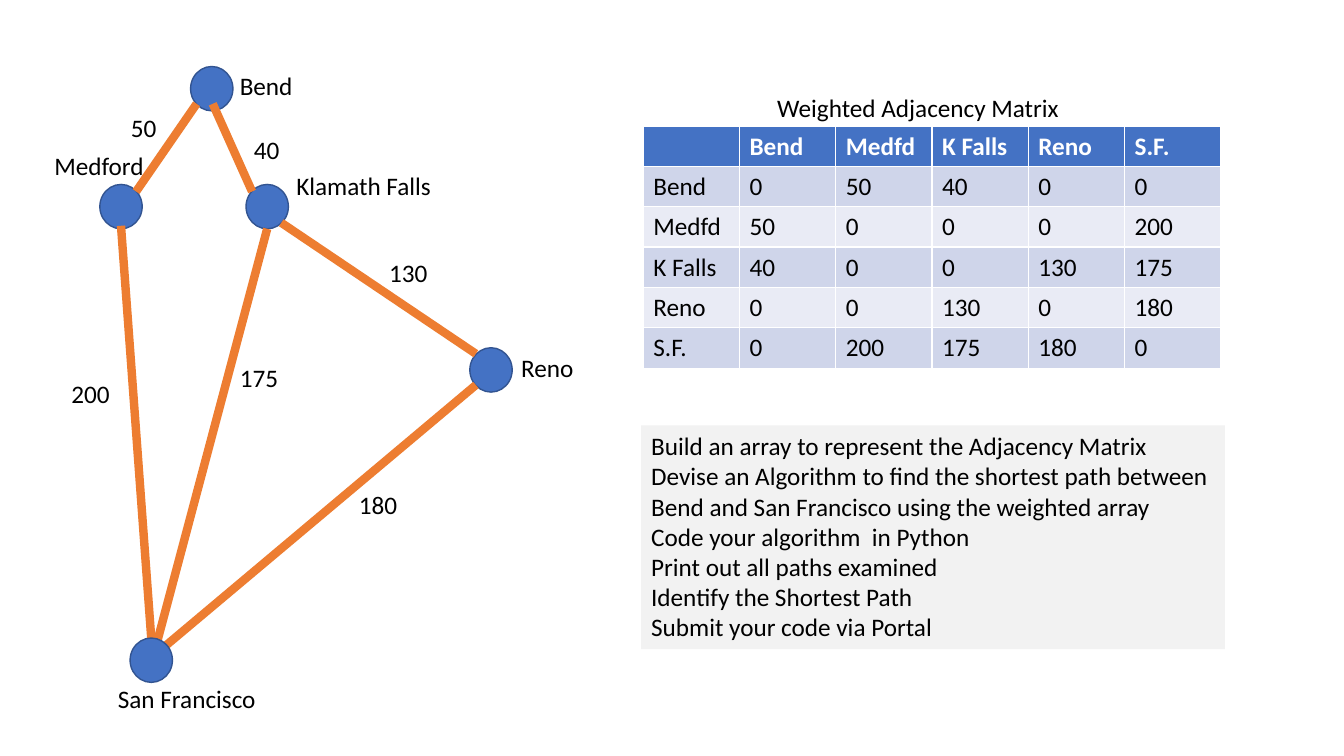
import pptx
import pptx.util
import pptx.dml.color
import pptx.enum.shapes
import pptx.enum.text
import pptx.oxml.ns
import lxml.etree

Inches = pptx.util.Inches
Pt = pptx.util.Pt


def color(code):
    return pptx.dml.color.RGBColor.from_string(code)


THEME = {
    "node": color("4472C4"),
    "node line": color("325491"),
    "road": color("ED7D31"),
    "panel": color("F2F2F2"),
    "header": color("4472C4"),
    "bands": [color("CFD5EA"), color("E9EBF5")],
    "text": {"name": "Calibri", "size": Pt(18), "bold": False},
    "header text": {"name": "Calibri", "size": Pt(18), "bold": True},
    "ink": color("000000"),
    "header ink": color("FFFFFF"),
}


def write(frame, lines, style="text", ink="ink"):
    for number, line in enumerate(lines):
        paragraph = frame.paragraphs[0] if number == 0 else frame.add_paragraph()
        run = paragraph.add_run()
        run.text = line
        for attribute, value in THEME[style].items():
            setattr(run.font, attribute, value)
        run.font.color.rgb = THEME[ink]


def add_text(slide, left, top, width, height, lines):
    box = slide.shapes.add_textbox(Inches(left), Inches(top), Inches(width), Inches(height))
    box.text_frame.word_wrap = False
    box.text_frame.auto_size = pptx.enum.text.MSO_AUTO_SIZE.SHAPE_TO_FIT_TEXT
    write(box.text_frame, lines)
    return box


presentation = pptx.Presentation()
presentation.slide_width = Inches(13.33)
presentation.slide_height = Inches(7.5)
slide = presentation.slides.add_slide(presentation.slide_layouts[6])

# Roads: two cities, distance, line start, line end, label place and width
roads = [
    ("Bend", "Medfd", 50, (1.95, 1.03), (1.35, 1.9), (1.2, 1.07, 0.46)),
    ("Bend", "K Falls", 40, (2.11, 1.03), (2.5, 1.9), (2.42, 1.28, 0.46)),
    ("K Falls", "Reno", 130, (2.79, 2.21), (4.72, 3.51), (3.76, 2.5, 0.59)),
    ("Medfd", "S.F.", 200, (1.2, 2.24), (1.5, 6.33), (0.61, 3.7, 0.59)),
    ("S.F.", "Reno", 180, (1.65, 6.4), (4.72, 3.82), (3.46, 4.81, 0.59)),
    ("K Falls", "S.F.", 175, (2.65, 2.27), (1.55, 6.4), (2.28, 3.55, 0.59)),
]
for first, second, distance, start, end, label in roads:
    road = slide.shapes.add_connector(
        pptx.enum.shapes.MSO_CONNECTOR.STRAIGHT, *map(Inches, start + end))
    road.line.color.rgb = THEME["road"]
    road.line.width = Pt(6)
    lxml.etree.SubElement(road._element.spPr, pptx.oxml.ns.qn("a:effectLst"))
    left, top, width = label
    add_text(slide, left, top, width, 0.4, [str(distance)])

# Cities: node place, name, name place and width
cities = [
    ((1.89, 0.66), "Bend", (2.28, 0.65, 0.73)),
    ((0.99, 1.83), "Medford", (0.44, 1.44, 1.1)),
    ((2.44, 1.83), "Klamath Falls", (2.84, 1.64, 1.55)),
    ((4.66, 3.45), "Reno", (5.07, 3.45, 0.73)),
    ((1.29, 6.33), "San Francisco", (1.07, 6.73, 1.58)),
]
first_road = slide.shapes[0]._element
for place, name, label in cities:
    node = slide.shapes.add_shape(
        pptx.enum.shapes.MSO_SHAPE.OVAL, *map(Inches, place + (0.42, 0.44)))
    node.shadow.inherit = False
    node.fill.solid()
    node.fill.fore_color.rgb = THEME["node"]
    node.line.color.rgb = THEME["node line"]
    node.line.width = Pt(1)
    # Roads run over every node but San Francisco
    if name != "San Francisco":
        first_road.addprevious(node._element)
    left, top, width = label
    add_text(slide, left, top, width, 0.4, [name])

# Adjacency matrix, worked out from the roads
add_text(slide, 7.61, 0.87, 3.03, 0.4, ["Weighted Adjacency Matrix"])
distances = {}
for first, second, distance, *_ in roads:
    distances[first, second] = distances[second, first] = distance
names = ["Bend", "Medfd", "K Falls", "Reno", "S.F."]
rows = [[""] + names]
for name in names:
    rows.append([name] + [str(distances.get((name, other), 0)) for other in names])

table = slide.shapes.add_table(
    len(rows), len(rows[0]), Inches(6.38), Inches(1.25), Inches(5.73), Inches(2.4)).table
for row_number, row in enumerate(rows):
    for column_number, value in enumerate(row):
        cell = table.cell(row_number, column_number)
        cell.fill.solid()
        if row_number == 0:
            cell.fill.fore_color.rgb = THEME["header"]
            write(cell.text_frame, [value], "header text", "header ink")
        else:
            cell.fill.fore_color.rgb = THEME["bands"][(row_number - 1) % 2]
            write(cell.text_frame, [value])

# Assignment panel
panel = add_text(slide, 6.36, 4.22, 5.79, 2.22, [
    "Build an array to represent the Adjacency Matrix",
    "Devise an Algorithm to find the shortest path between",
    "Bend and San Francisco using the weighted array",
    "Code your algorithm  in Python",
    "Print out all paths examined",
    "Identify the Shortest Path",
    "Submit your code via Portal",
])
panel.fill.solid()
panel.fill.fore_color.rgb = THEME["panel"]

presentation.save("out.pptx")
